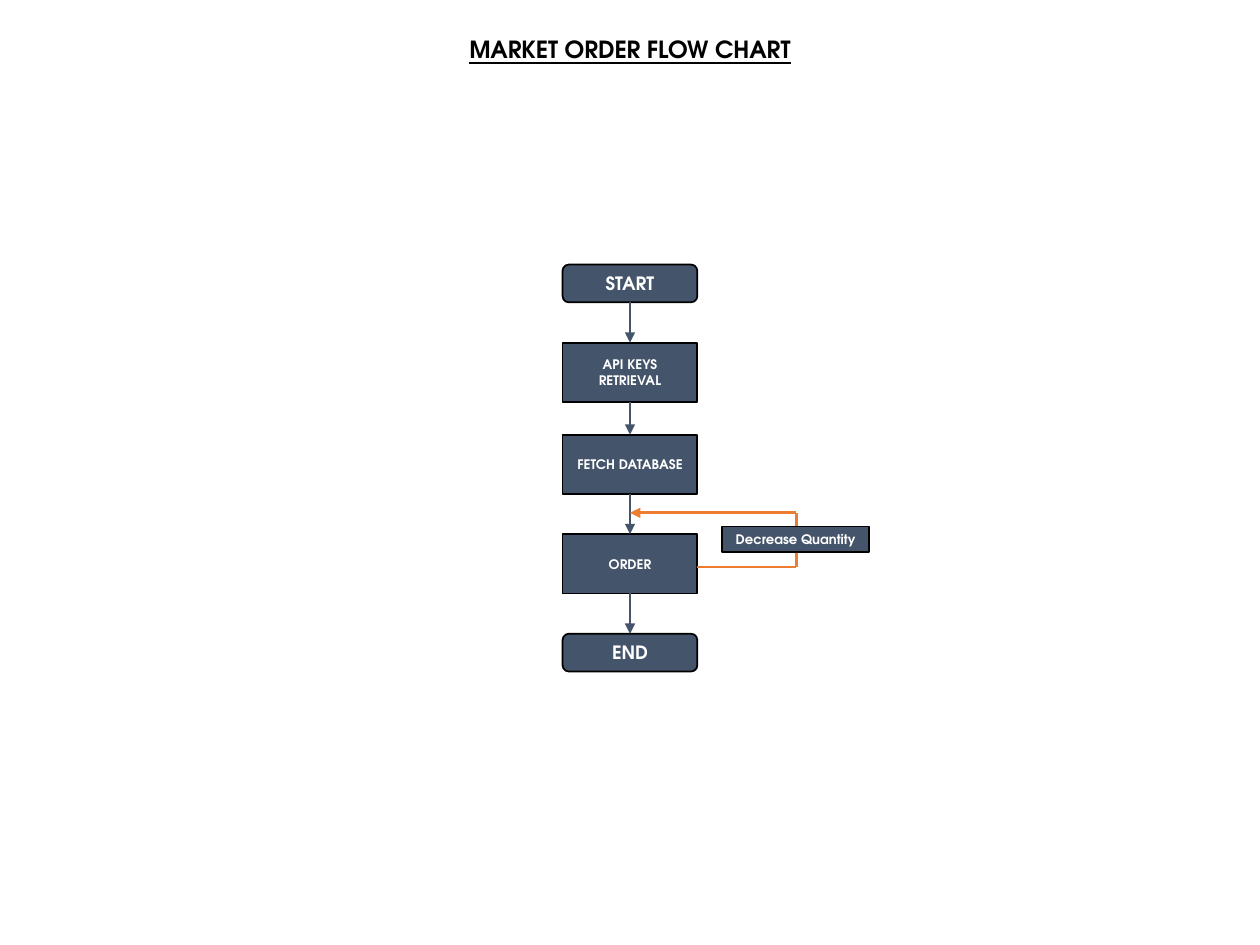
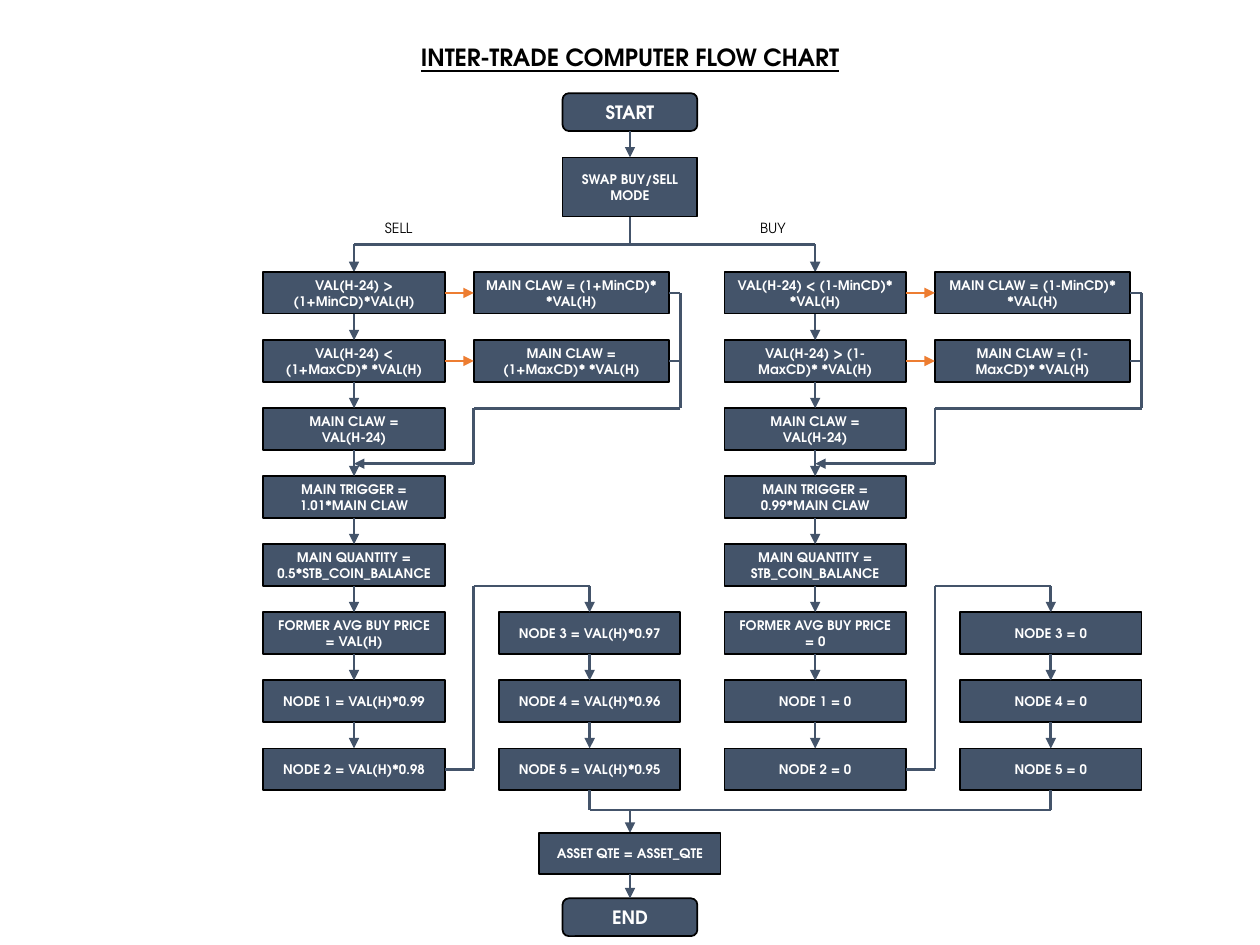
"""Builds two flow charts: a market order and an inter-trade computer."""
from itertools import pairwise
from lxml import etree
from pptx import Presentation
from pptx import util as u
from pptx.dml.color import RGBColor
from pptx.enum import shapes, text
from pptx.oxml.ns import qn

MARKET_TITLE = ("MARKET ORDER FLOW CHART", 0.23)
MARKET_STEPS = [("START", 2.1), ("API KEYS RETRIEVAL", 2.72), ("FETCH DATABASE", 3.45),
                ("ORDER", 4.24), ("END", 5.03)]
RETRY = "Decrease Quantity"

TRADE_TITLE = ("INTER-TRADE COMPUTER FLOW CHART", 0.29)
TRADE_OPENING = [("START", 0.74), ("SWAP BUY/SELL MODE", 1.25)]
TRADE_CLOSING = [("ASSET QTE = ASSET_QTE", 6.61), ("END", 7.13)]
BRANCHES = [
    {"mode": "SELL", "mode_left": 2.81, "left": 2.09,
     "steps": ["VAL(H-24) > (1+MinCD)*VAL(H)", "VAL(H-24) < (1+MaxCD)* *VAL(H)",
               "MAIN CLAW = VAL(H-24)", "MAIN TRIGGER = 1.01*MAIN CLAW",
               "MAIN QUANTITY = 0.5*STB_COIN_BALANCE", "FORMER AVG BUY PRICE = VAL(H)",
               "NODE 1 = VAL(H)*0.99", "NODE 2 = VAL(H)*0.98"],
     "claws": ["MAIN CLAW = (1+MinCD)* *VAL(H)", "MAIN CLAW = (1+MaxCD)* *VAL(H)"],
     "nodes": ["NODE 3 = VAL(H)*0.97", "NODE 4 = VAL(H)*0.96", "NODE 5 = VAL(H)*0.95"]},
    {"mode": "BUY", "mode_left": 5.78, "left": 5.75,
     "steps": ["VAL(H-24) < (1-MinCD)* *VAL(H)", "VAL(H-24) > (1-MaxCD)* *VAL(H)",
               "MAIN CLAW = VAL(H-24)", "MAIN TRIGGER = 0.99*MAIN CLAW",
               "MAIN QUANTITY = STB_COIN_BALANCE", "FORMER AVG BUY PRICE = 0",
               "NODE 1 = 0", "NODE 2 = 0"],
     "claws": ["MAIN CLAW = (1-MinCD)* *VAL(H)", "MAIN CLAW = (1-MaxCD)* *VAL(H)"],
     "nodes": ["NODE 3 = 0", "NODE 4 = 0", "NODE 5 = 0"]},
]

SLATE = RGBColor(0x44, 0x54, 0x6A)
ORANGE = RGBColor(0xED, 0x7D, 0x31)
BLACK = RGBColor(0, 0, 0)
WHITE = RGBColor(255, 255, 255)
FONT = "TeX Gyre Adventor"

WIDTH, HEIGHT = 10, 7.5
MIDDLE = WIDTH / 2
MAIN_WIDTH, TERMINAL_HEIGHT, PROCESS_HEIGHT = 1.07, 0.3, 0.47
STEP_WIDTH, CLAW_WIDTH, STEP_HEIGHT = 1.44, 1.55, 0.33
FIRST_ROW, ROW_PITCH = 2.16, 0.54
CLAW_OFFSET, NODE_OFFSET = 1.67, 1.87
NODE_ROW, MERGE_ROW = 5, 3
FORK_Y, JOIN_Y = 1.94, 6.43


def write(shape, words, size, color, bold=True, underline=False):
    frame = shape.text_frame
    frame.word_wrap = True
    line = frame.paragraphs[0]
    line.text = words
    line.alignment = text.PP_ALIGN.CENTER
    font = line.font
    font.name, font.size, font.bold, font.underline = FONT, u.Pt(size), bold, underline
    font.color.rgb = color


def label(slide, words, left, top, width, height, size, **style):
    caption = slide.shapes.add_textbox(*map(u.Inches, (left, top, width, height)))
    write(caption, words, size, BLACK, **style)


def box(slide, words, left, top, width, height, rounded=False):
    kind = shapes.MSO_SHAPE.ROUNDED_RECTANGLE if rounded else shapes.MSO_SHAPE.RECTANGLE
    step = slide.shapes.add_shape(kind, *map(u.Inches, (left, top, width, height)))
    step.shadow.inherit = False
    step.fill.solid()
    step.fill.fore_color.rgb = SLATE
    step.line.color.rgb = BLACK
    step.line.width = u.Pt(1)
    step.text_frame.vertical_anchor = text.MSO_ANCHOR.MIDDLE
    write(step, words, 10.5 if rounded else 7.5, WHITE)


def route(slide, *points, color=SLATE, arrow=True):
    for start, end in pairwise(points):
        segment = slide.shapes.add_connector(
            shapes.MSO_CONNECTOR.STRAIGHT, *map(u.Inches, start + end))
        segment.line.color.rgb = color
        segment.line.width = u.Pt(1.5)
        etree.SubElement(segment._element.spPr, qn("a:effectLst"))
    if arrow:
        etree.SubElement(segment.line._get_or_add_ln(), qn("a:tailEnd"), type="triangle")


def main_column(slide, steps, process_width=MAIN_WIDTH, process_height=PROCESS_HEIGHT):
    """Stacks centred steps, links them and returns the bottom of the last one."""
    bottom = None
    for words, top in steps:
        terminal = words in ("START", "END")
        width = MAIN_WIDTH if terminal else process_width
        height = TERMINAL_HEIGHT if terminal else process_height
        box(slide, words, MIDDLE - width / 2, top, width, height, terminal)
        if bottom:
            route(slide, (MIDDLE, bottom), (MIDDLE, top))
        bottom = top + height
    return bottom


def row_top(row):
    return FIRST_ROW + row * ROW_PITCH


def row_middle(row):
    return row_top(row) + STEP_HEIGHT / 2


def step_column(slide, steps, left, first_row=0):
    center = left + STEP_WIDTH / 2
    for row, words in enumerate(steps, first_row):
        box(slide, words, left, row_top(row), STEP_WIDTH, STEP_HEIGHT)
        if row > first_row:
            route(slide, (center, row_top(row - 1) + STEP_HEIGHT), (center, row_top(row)))


def branch(slide, mode, mode_left, left, steps, claws, nodes):
    center, right = left + STEP_WIDTH / 2, left + STEP_WIDTH
    claw_left, node_left = left + CLAW_OFFSET, left + NODE_OFFSET
    claw_right, node_center = claw_left + CLAW_WIDTH, node_left + STEP_WIDTH / 2
    rail = node_left + STEP_WIDTH

    label(slide, mode, mode_left, 1.69, 0.71, 0.24, 8, bold=False)
    route(slide, (MIDDLE, FORK_Y), (center, FORK_Y), (center, FIRST_ROW))
    step_column(slide, steps, left)
    step_column(slide, nodes, node_left, NODE_ROW)

    for row, words in enumerate(claws):
        y = row_middle(row)
        box(slide, words, claw_left, row_top(row), CLAW_WIDTH, STEP_HEIGHT)
        route(slide, (right, y), (claw_left, y), color=ORANGE)
        route(slide, (claw_right, y), (rail, y), arrow=False)
    turn, merge = row_top(MERGE_ROW - 1), row_top(MERGE_ROW) - 0.1
    route(slide, (rail, row_middle(0)), (rail, turn), (claw_left, turn),
          (claw_left, merge), (center, merge))

    last, above = row_middle(len(steps) - 1), row_top(NODE_ROW - 1) + STEP_HEIGHT
    route(slide, (right, last), (claw_left, last), (claw_left, above),
          (node_center, above), (node_center, row_top(NODE_ROW)))
    return node_center


def new_slide(deck, title, top):
    slide = deck.slides.add_slide(deck.slide_layouts[6])
    label(slide, title, MIDDLE - 2, top, 4, 0.33, 13.5, underline=True)
    return slide


def market_order(deck):
    slide = new_slide(deck, *MARKET_TITLE)
    main_column(slide, MARKET_STEPS)
    edge, rail, leave, back = MIDDLE + MAIN_WIDTH / 2, 6.32, 4.5, 4.07
    route(slide, (edge, leave), (rail, leave), (rail, back), (MIDDLE, back), color=ORANGE)
    box(slide, RETRY, 5.73, 4.18, 1.17, 0.2)


def inter_trade(deck):
    slide = new_slide(deck, *TRADE_TITLE)
    bottom = main_column(slide, TRADE_OPENING)
    route(slide, (MIDDLE, bottom), (MIDDLE, FORK_Y), arrow=False)
    sell, buy = [branch(slide, **side) for side in BRANCHES]
    nodes_bottom = row_top(7) + STEP_HEIGHT
    route(slide, (sell, nodes_bottom), (sell, JOIN_Y), (buy, JOIN_Y), (buy, nodes_bottom),
          arrow=False)
    route(slide, (MIDDLE, JOIN_Y), (MIDDLE, TRADE_CLOSING[0][1]))
    main_column(slide, TRADE_CLOSING, STEP_WIDTH, STEP_HEIGHT)


def main():
    deck = Presentation()
    deck.slide_width, deck.slide_height = u.Inches(WIDTH), u.Inches(HEIGHT)
    market_order(deck)
    inter_trade(deck)
    deck.save("out.pptx")


if __name__ == "__main__":
    main()
